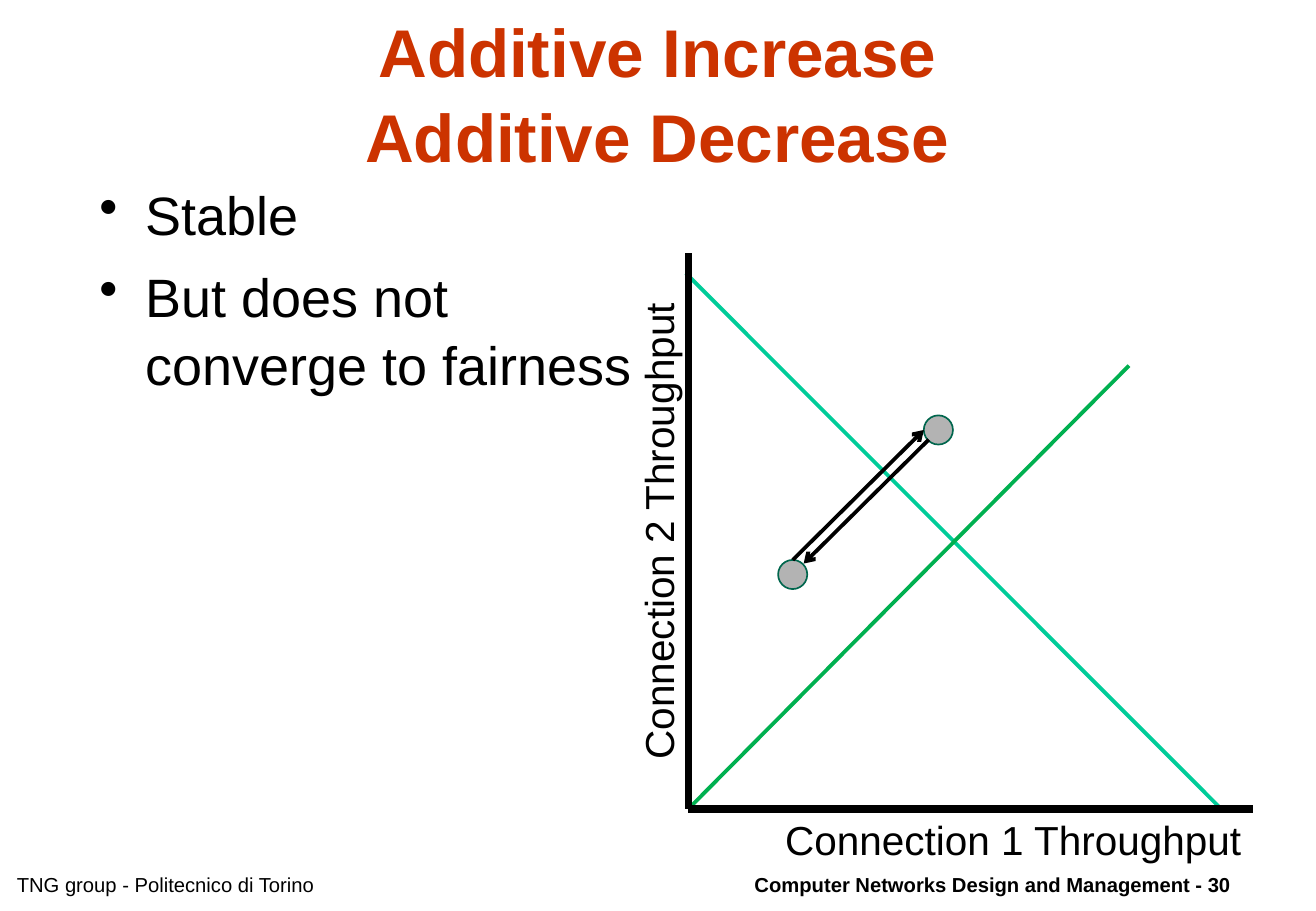
from lxml import etree
from pptx import Presentation
from pptx.dml.color import RGBColor
from pptx.enum import shapes, text
from pptx.oxml.ns import qn
from pptx.util import Inches, Pt

COLOURS = {"title": "CC3300", "ink": "000000", "efficiency": "00CC99",
           "fairness": "00B050", "state": "B3B3B3", "state_edge": "00664D"}

TITLE = "Additive Increase\nAdditive Decrease"
POINTS = ["Stable", "But does not converge to fairness"]
FOOTERS = [
    ("Computer Networks Design and Management - 30", 5.77, text.PP_ALIGN.RIGHT, True),
    ("TNG group - Politecnico di Torino", 0.04, text.PP_ALIGN.LEFT, False),
]
AXIS_LABELS = [("Connection 1 Throughput", 6.37, 6.66, 0),
               ("Connection 2 Throughput", 3.44, 4.12, 270)]

ORIGIN = (5.67, 6.66)
LINES = [
    ((5.65, 2.25), (10.06, 6.66), "efficiency", 2.25),
    (ORIGIN, (9.3, 3.01), "fairness", 2.25),
    (ORIGIN, (10.32, 6.66), "ink", 4.5),
    (ORIGIN, (5.67, 2.08), "ink", 4.5),
]
STATES = [(7.61, 3.42), (6.41, 4.61)]
STATE_SIZE = 0.24
MOVES = [((7.65, 3.62), (6.62, 4.64)), ((6.53, 4.61), (7.61, 3.54))]


def colour(name):
    return RGBColor.from_string(COLOURS[name])


def add_text(slide, paragraphs, box, size, ink="ink", bold=False,
             align=text.PP_ALIGN.LEFT, wrap=True, spacing=None):
    label = slide.shapes.add_textbox(*map(Inches, box))
    frame = label.text_frame
    frame.word_wrap = wrap
    for index, words in enumerate(paragraphs):
        paragraph = frame.add_paragraph() if index else frame.paragraphs[0]
        paragraph.text = words
        paragraph.alignment = align
        paragraph.line_spacing = spacing
        for run in paragraph.runs:
            run.font.name = "Arial"
            run.font.size = Pt(size)
            run.font.bold = bold
            run.font.color.rgb = colour(ink)
    return label


def add_bullets(frame):
    for paragraph in frame.paragraphs:
        paragraph.space_before = Pt(8)
        properties = paragraph._p.get_or_add_pPr()
        properties.set("marL", str(Inches(0.38)))
        properties.set("indent", str(-Inches(0.38)))
        etree.SubElement(properties, qn("a:buChar")).set("char", "•")


def add_line(slide, start, end, ink, width, arrow=False):
    line = slide.shapes.add_connector(
        shapes.MSO_CONNECTOR.STRAIGHT, *map(Inches, start + end))
    line.line.color.rgb = colour(ink)
    line.line.width = Pt(width)
    if arrow:
        etree.SubElement(line.line._get_or_add_ln(), qn("a:tailEnd")).set("type", "arrow")
    etree.SubElement(line._element.spPr, qn("a:effectLst"))


def add_state(slide, left, top):
    state = slide.shapes.add_shape(
        shapes.MSO_SHAPE.OVAL, *map(Inches, (left, top, STATE_SIZE, STATE_SIZE)))
    state.shadow.inherit = False
    state.fill.solid()
    state.fill.fore_color.rgb = colour("state")
    state.line.color.rgb = colour("state_edge")
    state.line.width = Pt(1)


def main():
    """Build the slide on additive increase and additive decrease."""
    deck = Presentation()
    deck.slide_width, deck.slide_height = Inches(10.84), Inches(7.5)
    slide = deck.slides.add_slide(deck.slide_layouts[6])

    for words, left, align, bold in FOOTERS:
        add_text(slide, [words], (left, 7.13, 4.47, 0.3), 12, bold=bold, align=align)
    title = add_text(slide, [TITLE], (0.81, 0.25, 9.21, 1), 40, "title", True,
                     text.PP_ALIGN.CENTER, spacing=1.05)
    title.text_frame.vertical_anchor = text.MSO_ANCHOR.MIDDLE
    points = add_text(slide, POINTS, (0.72, 1.42, 4.66, 5.17), 32, spacing=1.05)
    add_bullets(points.text_frame)

    for words, left, top, rotation in AXIS_LABELS:
        label = add_text(slide, [words], (left, top, 3.96, 0.5), 24, wrap=False)
        label.rotation = rotation
    for start, end, ink, width in LINES:
        add_line(slide, start, end, ink, width)
    for (left, top), (start, end) in zip(STATES, MOVES):
        add_state(slide, left, top)
        add_line(slide, start, end, "ink", 2.25, arrow=True)

    deck.save("out.pptx")


if __name__ == "__main__":
    main()
